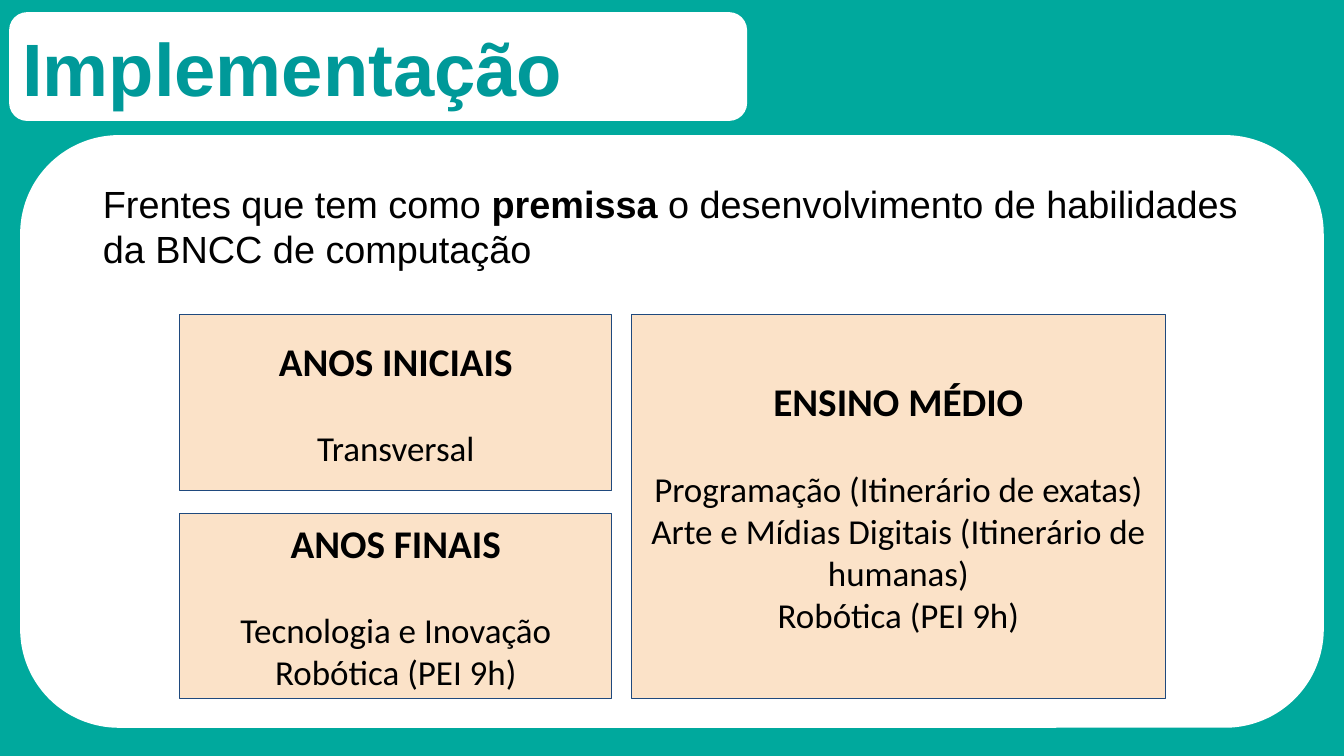
from lxml import etree
from pptx import Presentation
from pptx.dml.color import RGBColor
from pptx.enum.shapes import MSO_SHAPE as Shape
from pptx.enum.text import MSO_ANCHOR as Anchor, MSO_AUTO_SIZE as AutoSize, PP_ALIGN as Align
from pptx.oxml.ns import qn
from pptx.util import Inches, Pt

LEFT, TOP, BOTTOM = 1.78, 3.12, 6.93
CARD_WIDTH = 4.29


def color(value):
    return RGBColor.from_string(value)


def style(font, name, size, value, bold=False):
    font.name, font.size, font.bold = name, Pt(size), bold
    font.color.rgb = color(value)


def set_margins(frame, side, vertical):
    frame.margin_left = frame.margin_right = Inches(side)
    frame.margin_top = frame.margin_bottom = Inches(vertical)
    frame.word_wrap = True


def add_block(page, kind, area, fill):
    block = page.shapes.add_shape(kind, *map(Inches, area))
    block.shadow.inherit = False
    block.fill.solid()
    block.fill.fore_color.rgb = color(fill)
    block.line.fill.background()
    return block


def add_title(page, text, area):
    add_block(page, Shape.FLOWCHART_ALTERNATE_PROCESS, area, "FFFFFF")
    title = page.shapes.title
    title.left, title.top, title.width, title.height = map(Inches, area)
    # Bring the title in front of its white banner
    title.element.getparent().append(title.element)
    frame = title.text_frame
    frame.text = text
    frame.auto_size = AutoSize.NONE
    frame.vertical_anchor = Anchor.MIDDLE
    set_margins(frame, 0.13, 0.13)
    para = frame.paragraphs[0]
    para.alignment = Align.LEFT
    style(para.runs[0].font, "Arial", 53, "009999", True)


def add_intro(page, parts, area):
    box = page.shapes.add_textbox(*map(Inches, area))
    set_margins(box.text_frame, 0.13, 0.07)
    para = box.text_frame.paragraphs[0]
    para.space_after = Pt(10)
    for text, bold in parts:
        span = para.add_run()
        span.text = text
        style(span.font, "Arial", 27, "000000", bold)


def add_card(page, area, heading, items):
    card = add_block(page, Shape.RECTANGLE, area, "F6B26B")
    # Translucent fill
    fill = card.element.spPr.find(qn("a:solidFill"))
    etree.SubElement(fill[0], qn("a:alpha"), val="37000")
    card.line.color.rgb = color("1F497D")
    card.line.width = Pt(0.75)
    frame = card.text_frame
    frame.text = "\n".join([heading, *items])
    frame.vertical_anchor = Anchor.MIDDLE
    set_margins(frame, 0.1, 0.1)
    for index, para in enumerate(frame.paragraphs):
        para.alignment = Align.CENTER
        is_heading = index == 0
        style(para.runs[0].font, "Calibri", 28 if is_heading else 25, "000000", is_heading)
    frame.paragraphs[1].space_before = Pt(30.5)


def main():
    deck = Presentation()
    deck.slide_width, deck.slide_height = Inches(13.33), Inches(7.5)
    page = deck.slides.add_slide(deck.slide_layouts[5])
    page.background.fill.solid()
    page.background.fill.fore_color.rgb = color("00A99D")

    # Panel, title and introduction
    add_block(page, Shape.FLOWCHART_ALTERNATE_PROCESS, (0.2, 1.34, 12.93, 5.88), "FFFFFF")
    add_title(page, "Implementação", (0.09, 0.12, 7.32, 1.08))
    add_intro(page, [("Frentes que tem como ", False), ("premissa ", True),
                     ("o desenvolvimento de habilidades da BNCC de computação", False)],
              (0.89, 1.72, 11.55, 1.04))

    # School stages
    add_card(page, (LEFT, TOP, CARD_WIDTH, 1.75), "ANOS INICIAIS", ["Transversal"])
    add_card(page, (LEFT, 5.09, CARD_WIDTH, BOTTOM - 5.09), "ANOS FINAIS",
             ["Tecnologia e Inovação", "Robótica (PEI 9h)"])
    add_card(page, (6.26, TOP, 5.3, BOTTOM - TOP), "ENSINO MÉDIO",
             ["Programação (Itinerário de exatas)",
              "Arte e Mídias Digitais (Itinerário de humanas)", "Robótica (PEI 9h)"])
    deck.save("out.pptx")


if __name__ == "__main__":
    main()
